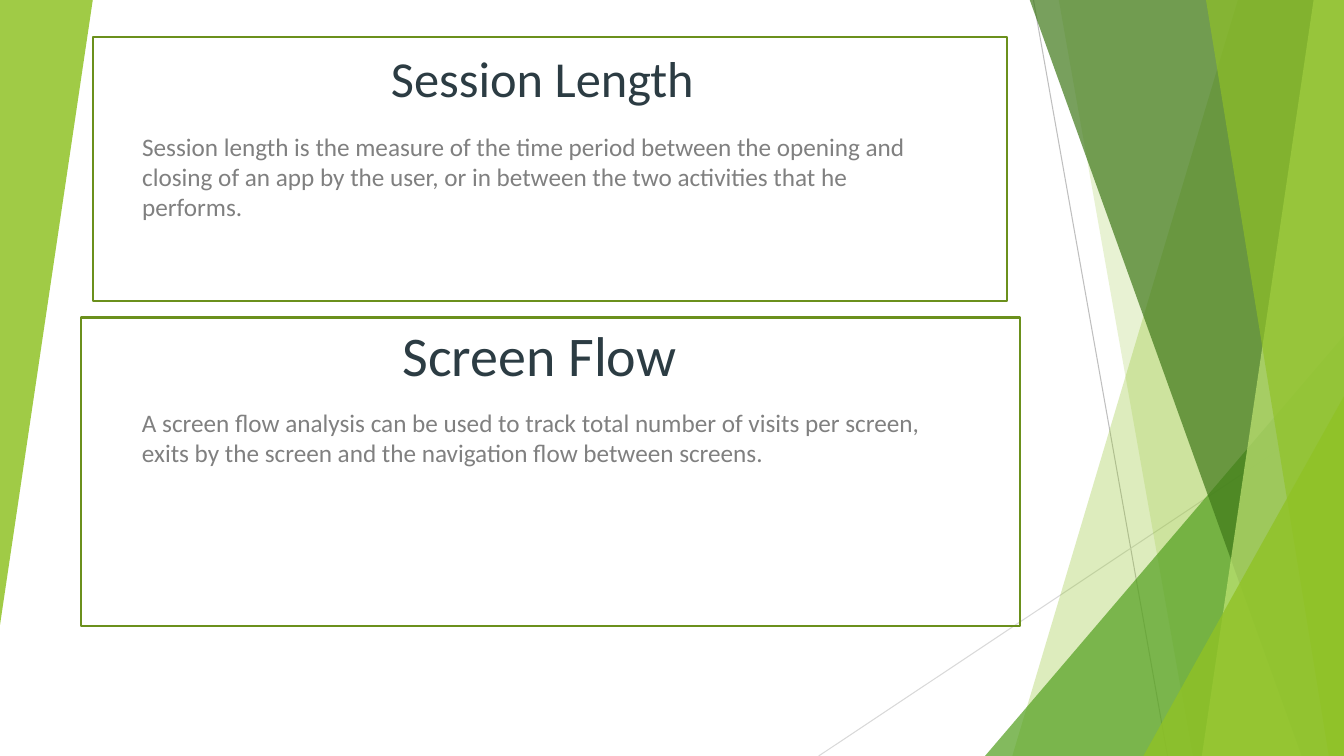
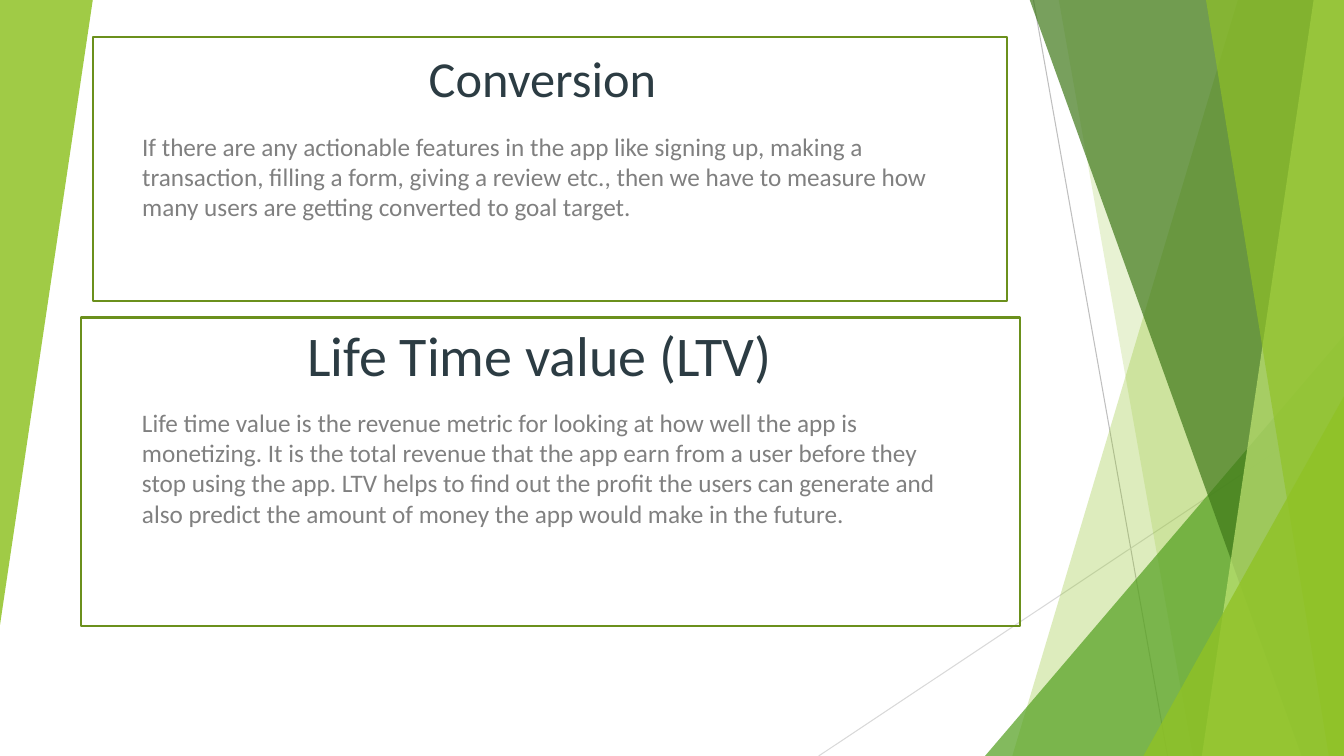
from dataclasses import dataclass
from typing import Any, NamedTuple

from lxml.etree import SubElement
from pptx import Presentation
from pptx.dml.color import RGBColor
from pptx.enum.shapes import MSO_CONNECTOR, MSO_SHAPE
from pptx.enum.text import MSO_ANCHOR, MSO_AUTO_SIZE, PP_ALIGN
from pptx.oxml.ns import qn
from pptx.slide import Slide, SlideLayout
from pptx.util import Inches, Pt

WIDTH, HEIGHT = 13.33, 7.5
LIME, LEAF, FOREST, PALE = "90C226", "54A021", "3F7819", "C0E474"
BORDER, HEADING, GREY = "6B901C", "2C3C43", "808080"
FONT = "Calibri"


class Area(NamedTuple):
    left: float
    top: float
    width: float
    height: float

    def lengths(self) -> tuple[int, ...]:
        return tuple(Inches(value) for value in self)


def colour(code: str) -> RGBColor:
    return RGBColor.from_string(code)


def apply(target: Any, values: dict[str, Any]) -> None:
    for name, value in values.items():
        setattr(target, name, value)


def stroke(shape: Any, code: str, points: float) -> None:
    shape.line.color.rgb = colour(code)
    shape.line.width = Pt(points)


def tint(shape: Any, code: str, opacity: int) -> None:
    shape.shadow.inherit = False
    shape.fill.solid()
    shape.fill.fore_color.rgb = colour(code)
    shape.line.fill.background()
    for node in shape.element.xpath(".//a:solidFill/a:srgbClr"):
        SubElement(node, qn("a:alpha"), val=str(opacity * 1000))


@dataclass(frozen=True)
class Ray:
    start: tuple[float, float]
    end: tuple[float, float]
    code: str

    def draw(self, shapes: Any) -> None:
        points = [Inches(value) for value in self.start + self.end]
        line = shapes.add_connector(MSO_CONNECTOR.STRAIGHT, *points)
        stroke(line, self.code, 0.75)
        SubElement(line.element.spPr, qn("a:effectLst"))


@dataclass(frozen=True)
class Band:
    top_left: float
    bottom_left: float
    code: str
    opacity: int

    def draw(self, shapes: Any) -> None:
        top = -0.01
        builder = shapes.build_freeform(Inches(self.top_left), Inches(top))
        corners = [(WIDTH, top), (WIDTH, HEIGHT), (self.bottom_left, HEIGHT)]
        builder.add_line_segments([(Inches(x), Inches(y)) for x, y in corners])
        tint(builder.convert_to_shape(), self.code, self.opacity)


@dataclass(frozen=True)
class Wedge:
    area: Area
    code: str
    opacity: int
    rotation: int = 0

    def draw(self, shapes: Any) -> None:
        wedge = shapes.add_shape(MSO_SHAPE.ISOSCELES_TRIANGLE, *self.area.lengths())
        wedge.adjustments[0] = 1
        wedge.rotation = self.rotation
        tint(wedge, self.code, self.opacity)


@dataclass(frozen=True)
class Panel:
    frame: Area
    heading: Area
    body: Area
    heading_size: int


class Topic(NamedTuple):
    heading: str
    body: str


BACKDROP = [
    Ray((10.25, 0), (11.58, HEIGHT), "BFBFBF"),
    Ray((WIDTH, 4.03), (8.12, HEIGHT), "D9D9D9"),
    Band(12.28, 10.04, LIME, 30),
    Band(10.5, 11.83, LIME, 20),
    Wedge(Area(9.77, 3.33, 3.56, 4.17), LEAF, 72),
    Band(10.21, 12.91, FOREST, 70),
    Band(13.03, 11.92, PALE, 70),
    Band(11.96, 13.18, LIME, 65),
    Wedge(Area(11.34, 3.93, 1.99, 3.57), LIME, 80),
    Wedge(Area(0, 0, 0.92, 6.2), LIME, 85, rotation=180),
]

PANELS = [
    Panel(Area(0.92, 0.37, 9.07, 2.62), Area(1.31, 0.51, 8.14, 0.61),
          Area(1.31, 1.25, 8.14, 1.29), 36),
    Panel(Area(0.8, 3.15, 9.32, 3.06), Area(1.25, 3.39, 8.2, 0.51),
          Area(1.31, 3.99, 8.14, 2.02), 40),
]

PAGES = [
    [
        Topic("Session Length",
              "Session length is the measure of the time period between the opening "
              "and closing of an app by the user, or in between the two activities "
              "that he performs."),
        Topic("Screen Flow",
              "A screen flow analysis can be used to track total number of visits "
              "per screen, exits by the screen and the navigation flow between "
              "screens."),
    ],
    [
        Topic("Conversion",
              "If there are any actionable features in the app like signing up, "
              "making a transaction, filling a form, giving a review etc., then we "
              "have to measure how many users are getting converted to goal target."),
        Topic("Life Time value (LTV)",
              "Life time value is the revenue metric for looking at how well the app "
              "is monetizing. It is the total revenue that the app earn from a user "
              "before they stop using the app. LTV helps to find out the profit the "
              "users can generate and also predict the amount of money the app would "
              "make in the future."),
    ],
]


def add_backdrop(page: Slide, layout: SlideLayout) -> None:
    group = page.shapes.add_group_shape()
    for item in BACKDROP:
        item.draw(group.shapes)
    for number, node in enumerate(group.element.xpath(".//p:cNvPr"), start=100):
        node.set("id", str(number))
    layout.shapes.element.insert(2, group.element)


def write(box: Any, area: Area, text: str, size: int, code: str,
          anchor: MSO_ANCHOR, paragraph: dict[str, Any]) -> None:
    apply(box, dict(zip(("left", "top", "width", "height"), area.lengths())))
    apply(box.text_frame, {"word_wrap": True, "auto_size": MSO_AUTO_SIZE.NONE,
                           "vertical_anchor": anchor})
    para = box.text_frame.paragraphs[0]
    apply(para, paragraph)
    span = para.add_run()
    span.text = text
    apply(span.font, {"name": FONT, "size": Pt(size)})
    span.font.color.rgb = colour(code)


def add_panel(page: Slide, panel: Panel, topic: Topic, boxes: list[Any]) -> None:
    frame = page.shapes.add_shape(MSO_SHAPE.RECTANGLE, *panel.frame.lengths())
    frame.shadow.inherit = False
    frame.fill.background()
    stroke(frame, BORDER, 1.5)
    areas = (panel.heading, panel.body)
    heading, body = boxes or [page.shapes.add_textbox(*area.lengths()) for area in areas]
    write(heading, panel.heading, topic.heading, panel.heading_size, HEADING,
          MSO_ANCHOR.BOTTOM, {"alignment": PP_ALIGN.CENTER})
    write(body, panel.body, topic.body, 18, GREY, MSO_ANCHOR.TOP,
          {"alignment": PP_ALIGN.LEFT, "space_before": Pt(10)})


def main() -> None:
    deck = Presentation()
    apply(deck, {"slide_width": Inches(WIDTH), "slide_height": Inches(HEIGHT)})
    layout = deck.slide_layouts[0]
    for index, topics in enumerate(PAGES):
        page = deck.slides.add_slide(layout)
        if index == 0:
            add_backdrop(page, layout)
        placeholders = list(page.placeholders)
        for panel, topic, boxes in zip(PANELS, topics, (placeholders, [])):
            add_panel(page, panel, topic, boxes)
    deck.save("out.pptx")


main()
